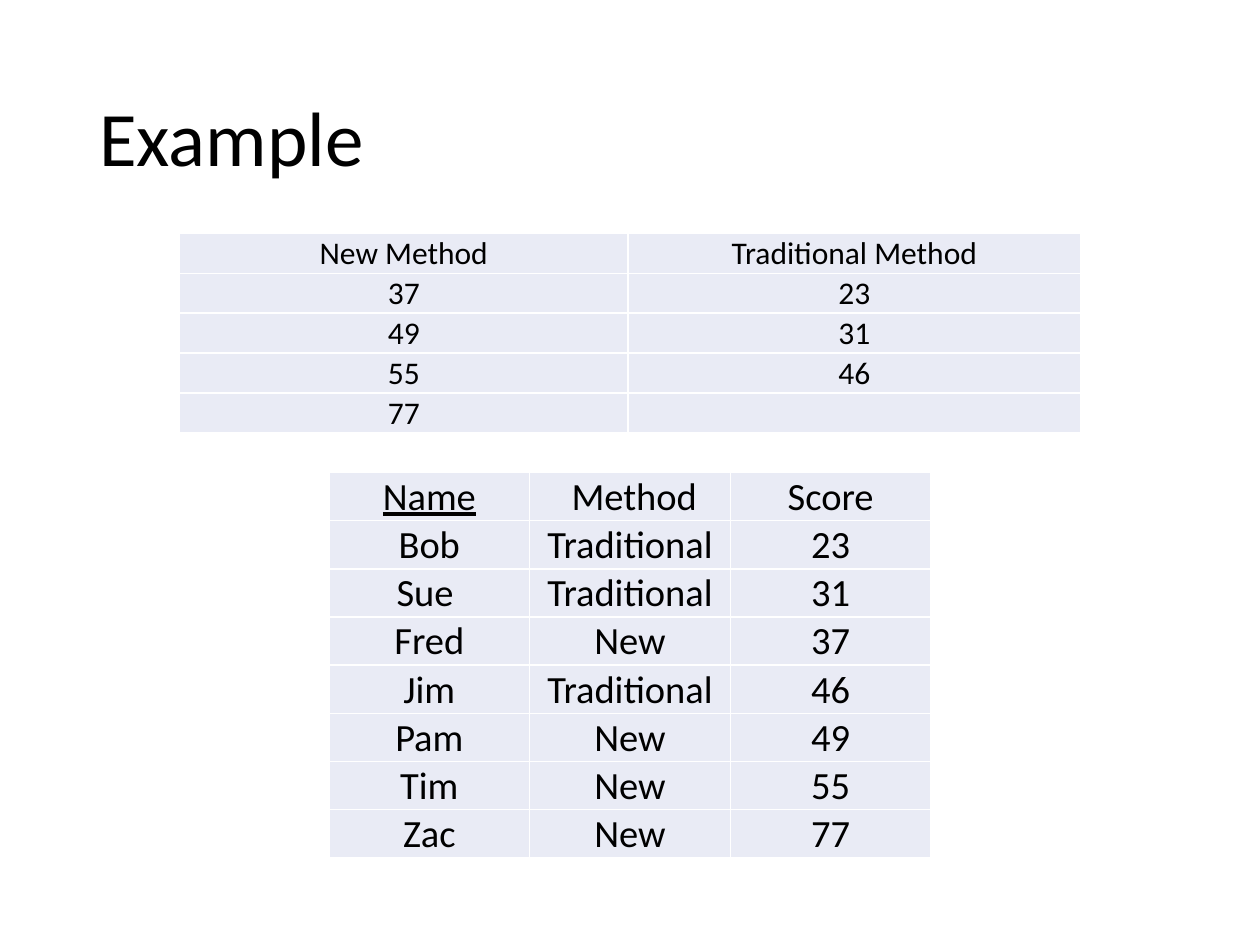
import pptx
import pptx.dml.color
import pptx.enum.text
import pptx.oxml
import pptx.oxml.ns
import pptx.util
from lxml import etree

Pt = pptx.util.Pt
RGBColor = pptx.dml.color.RGBColor
PP_ALIGN = pptx.enum.text.PP_ALIGN
ANCHOR = pptx.enum.text.MSO_ANCHOR

BLACK = RGBColor(0x00, 0x00, 0x00)
WHITE = RGBColor(0xFF, 0xFF, 0xFF)
PALE_BLUE = RGBColor(0xE9, 0xEB, 0xF5)
FONT = "Calibri"

CELL_FORMAT = {
    "vertical_anchor": ANCHOR.BOTTOM,
    "margin_left": Pt(0.75),
    "margin_right": Pt(0.75),
    "margin_top": Pt(0.75),
    "margin_bottom": Pt(0),
}

METHOD_SCORES = [
    ("New Method", "Traditional Method"),
    ("37", "23"),
    ("49", "31"),
    ("55", "46"),
    ("77", ""),
]
STUDENT_SCORES = [
    ("Name", " Method", "Score"),
    ("Bob", "Traditional", "23"),
    ("Sue ", "Traditional", "31"),
    ("Fred", "New", "37"),
    ("Jim", "Traditional", "46"),
    ("Pam", "New", "49"),
    ("Tim", "New", "55"),
    ("Zac", "New", "77"),
]


def apply_format(target, values):
    for key, value in values.items():
        setattr(target, key, value)


def format_font(font, size):
    apply_format(font, {"name": FONT, "size": Pt(size)})
    font.color.rgb = BLACK


def add_borders(cell, color, width):
    properties = cell._tc.get_or_add_tcPr()
    qn = pptx.oxml.ns.qn
    for side in ("lnL", "lnR", "lnT", "lnB"):
        line = etree.SubElement(properties, qn(f"a:{side}"), w=str(Pt(width)))
        fill = etree.SubElement(line, qn("a:solidFill"))
        etree.SubElement(fill, qn("a:srgbClr"), val=str(color))


def place_title(slide, box, text):
    title = slide.shapes.title
    apply_format(title, dict(zip(("left", "top", "width", "height"), map(Pt, box))))
    title.text_frame.vertical_anchor = ANCHOR.MIDDLE
    paragraph = title.text_frame.paragraphs[0]
    apply_format(paragraph, {"alignment": PP_ALIGN.LEFT, "line_spacing": 0.9})
    run = paragraph.add_run()
    run.text = text
    format_font(run.font, 44)


def place_score_table(slide, box, rows, column_widths, size):
    table = slide.shapes.add_table(len(rows), len(rows[0]), *map(Pt, box)).table
    apply_format(table, {"first_row": False, "horz_banding": False})
    for column, width in zip(table.columns, column_widths):
        column.width = Pt(width)
    for row, texts in zip(table.rows, rows):
        for cell, text in zip(row.cells, texts):
            # Cell frame
            apply_format(cell, CELL_FORMAT)
            add_borders(cell, WHITE, 1)
            cell.fill.solid()
            cell.fill.fore_color.rgb = PALE_BLUE
            # Cell text
            paragraph = cell.text_frame.paragraphs[0]
            paragraph.alignment = PP_ALIGN.CENTER
            if text:
                run = paragraph.add_run()
                run.text = text
                format_font(run.font, size)
    return table


def main():
    presentation = pptx.Presentation()
    apply_format(presentation, {"slide_width": Pt(720), "slide_height": Pt(540)})
    slide = presentation.slides.add_slide(presentation.slide_layouts[5])

    place_title(slide, (49.5, 28.75, 621, 104.4), "Example")

    # Scores grouped by method
    place_score_table(slide, (102.5, 133.5, 515, 111.6), METHOD_SCORES, (256.5, 258.5), 18)

    # Scores listed by student
    students = place_score_table(
        slide, (188, 270, 344, 217.6), STUDENT_SCORES, [344 / 3] * 3, 22
    )
    students.cell(0, 0).text_frame.paragraphs[0].runs[0].font.underline = True

    presentation.save("out.pptx")


if __name__ == "__main__":
    main()
